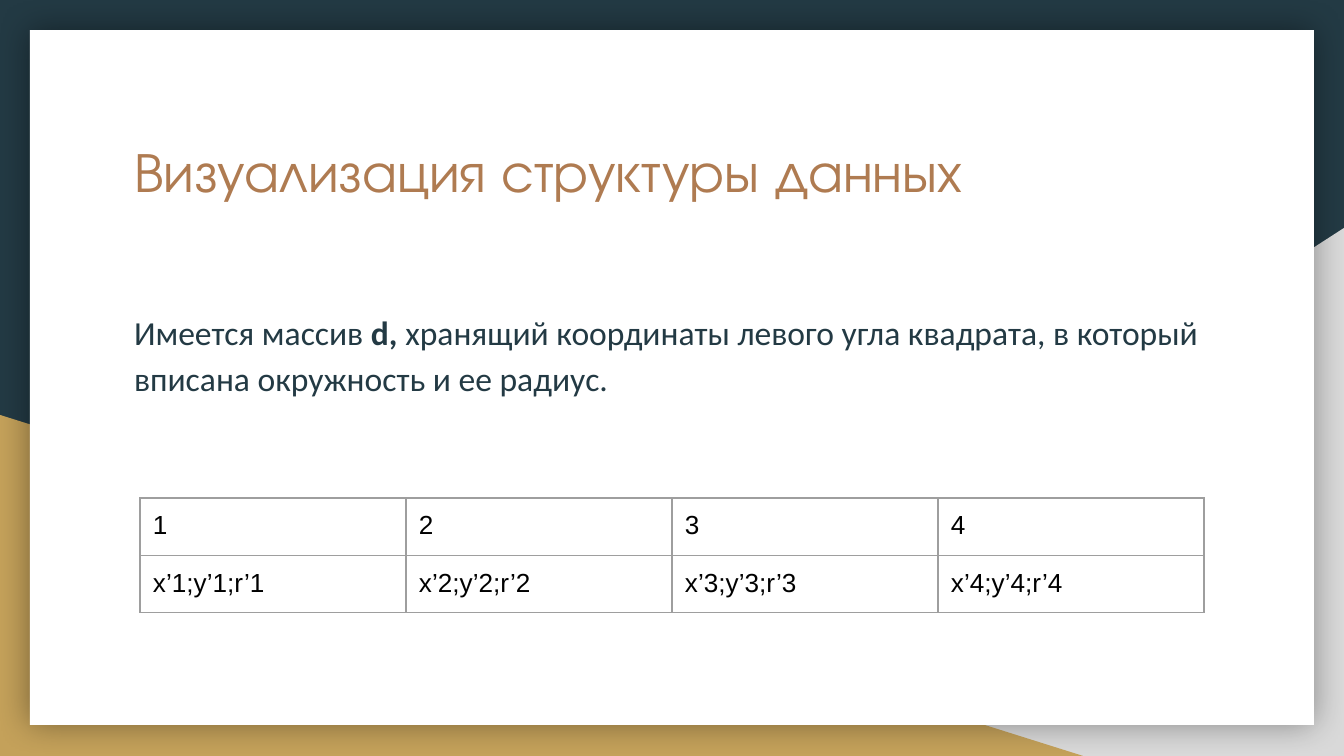
"""Build a slide that shows an array of circle coordinates as a table."""
from lxml.etree import SubElement
from pptx import Presentation
from pptx.dml.color import RGBColor
from pptx.enum.shapes import MSO_SHAPE
from pptx.enum.text import MSO_ANCHOR
from pptx.oxml import parse_xml
from pptx.oxml.ns import nsdecls, qn
from pptx.util import Emu, Pt

EMU_PER_PX = 9144000 / 1344
SLIDE_SIZE = (1344, 756)
INSET = 13
NAVY, GOLD, GREY, WHITE = "233A44", "C4A15A", "D9D9D9", "FFFFFF"
BORDER = "9E9E9E"

BACKDROP = [
    (MSO_SHAPE.RIGHT_TRIANGLE, (527, 228, 817, 528), GREY, True, False),
    (MSO_SHAPE.RIGHT_TRIANGLE, (0, 415, 1083, 341), GOLD, False, False),
    (MSO_SHAPE.RECTANGLE, (30, 30, 1284, 695), WHITE, False, True),
]
TITLE_FORMAT = {"name": "TeX Gyre Adventor", "size": Pt(30), "color": "AF7B51"}
BODY_FORMAT = {"name": "Calibri", "size": Pt(18), "color": NAVY}
CELL_FORMAT = {"name": "Arial", "size": Pt(14), "color": "000000"}
TEXTS = [
    ((121, 124, 1103, 140), [("Визуализация структуры данных", False)], TITLE_FORMAT, {}),
    (
        (121, 293, 1103, 160),
        [
            ("Имеется массив ", False),
            ("d, ", True),
            ("хранящий координаты левого угла квадрата, в который вписана окружность и ее радиус.", False),
        ],
        BODY_FORMAT,
        {"line_spacing": 1.15, "space_after": Pt(12)},
    ),
]
TABLE_ORIGIN = (140, 498)
CELL_SIZE = (266, 56)
TABLE_ROWS = [
    ["1", "2", "3", "4"],
    ["x’1;y’1;r’1", "x’2;y’2;r’2", "x’3;y’3;r’3", "x’4;y’4;r’4"],
]


def px(*lengths):
    return [Emu(round(length * EMU_PER_PX)) for length in lengths]


def paint(fill, color):
    fill.solid()
    fill.fore_color.rgb = RGBColor.from_string(color)


def set_attributes(target, values):
    for name, value in values.items():
        setattr(target, name, value)


def add_run(paragraph, text, text_format, bold=False):
    run = paragraph.add_run()
    run.text = text
    set_attributes(run.font, {"name": text_format["name"], "size": text_format["size"], "bold": bold})
    paint(run.font.fill, text_format["color"])


def set_insets(target):
    inset = px(INSET)[0]
    sides = ("margin_left", "margin_top", "margin_right", "margin_bottom")
    set_attributes(target, dict.fromkeys(sides, inset))


def add_glow(shape):
    shape._element.spPr.append(parse_xml(
        f'<a:effectLst {nsdecls("a")}><a:outerShdw blurRad="{Pt(18)}" dist="0" dir="0" algn="ctr">'
        '<a:srgbClr val="000000"><a:alpha val="40000"/></a:srgbClr></a:outerShdw></a:effectLst>'
    ))


def add_backdrop(slide):
    for kind, box, color, flipped, glowing in BACKDROP:
        shape = slide.shapes.add_shape(kind, *px(*box))
        paint(shape.fill, color)
        shape.line.fill.background()
        if flipped:
            shape._element.spPr.xfrm.set("flipH", "1")
        if glowing:
            add_glow(shape)
        else:
            shape.shadow.inherit = False


def add_text(slide, box, runs, text_format, paragraph_format):
    frame = slide.shapes.add_textbox(*px(*box)).text_frame
    set_attributes(frame, {"word_wrap": True, "vertical_anchor": MSO_ANCHOR.TOP})
    set_insets(frame)
    paragraph = frame.paragraphs[0]
    set_attributes(paragraph, paragraph_format)
    for text, bold in runs:
        add_run(paragraph, text, text_format, bold)


def add_borders(cell):
    properties = cell._tc.get_or_add_tcPr()
    for side in ("lnL", "lnR", "lnT", "lnB"):
        line = SubElement(properties, qn(f"a:{side}"), w=str(Pt(0.75)))
        SubElement(SubElement(line, qn("a:solidFill")), qn("a:srgbClr"), val=BORDER)


def add_data_table(slide):
    row_count, column_count = len(TABLE_ROWS), len(TABLE_ROWS[0])
    width, height = CELL_SIZE
    size = (width * column_count, height * row_count)
    table = slide.shapes.add_table(row_count, column_count, *px(*TABLE_ORIGIN, *size)).table
    set_attributes(table, {"first_row": False, "horz_banding": False})
    for row_index, row in enumerate(TABLE_ROWS):
        for column_index, text in enumerate(row):
            cell = table.cell(row_index, column_index)
            set_insets(cell)
            add_borders(cell)
            cell.fill.background()
            add_run(cell.text_frame.paragraphs[0], text, CELL_FORMAT)


def main():
    presentation = Presentation()
    presentation.slide_width, presentation.slide_height = px(*SLIDE_SIZE)
    slide = presentation.slides.add_slide(presentation.slide_layouts[6])
    paint(slide.background.fill, NAVY)
    add_backdrop(slide)
    for text in TEXTS:
        add_text(slide, *text)
    add_data_table(slide)
    presentation.save("out.pptx")


if __name__ == "__main__":
    main()
